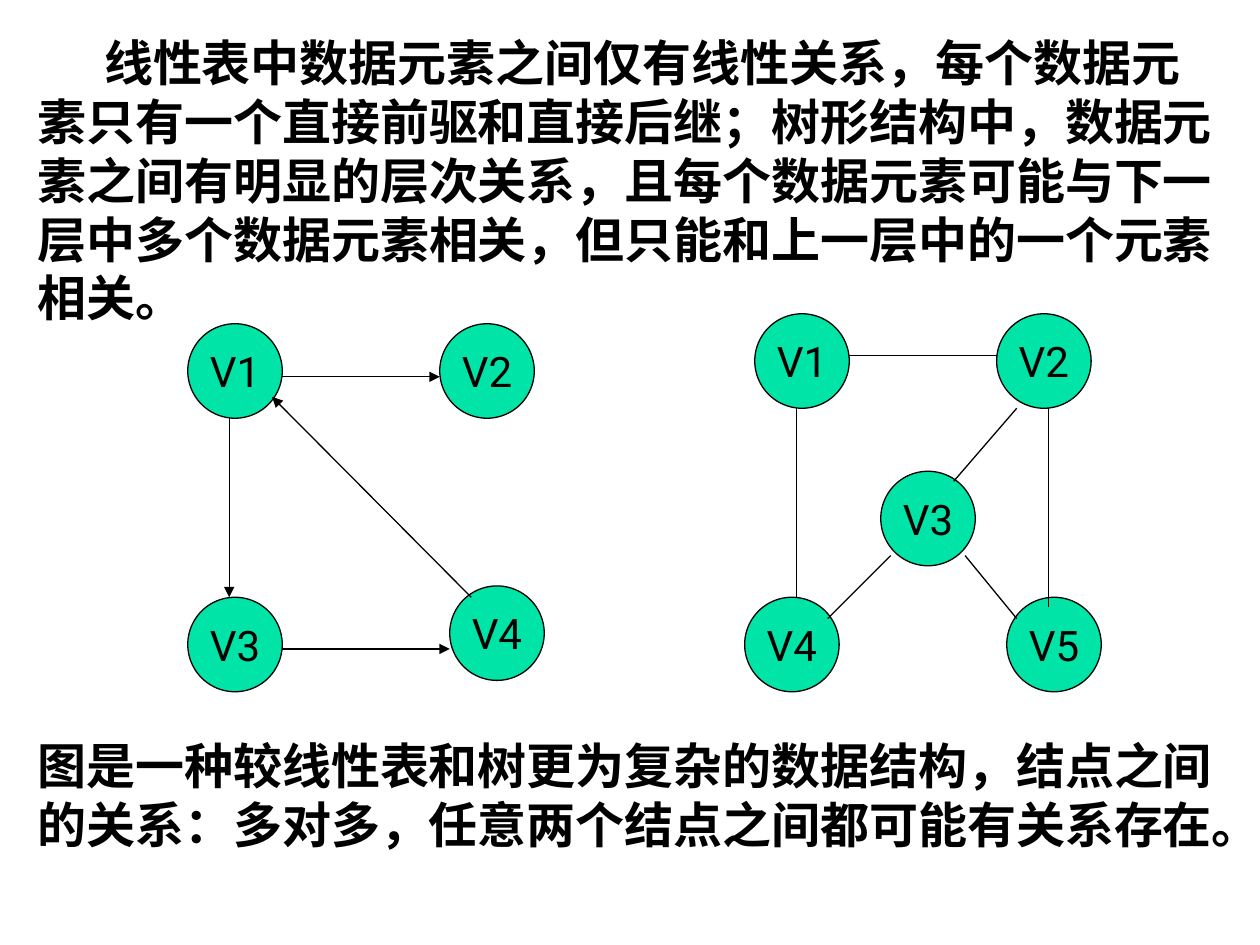
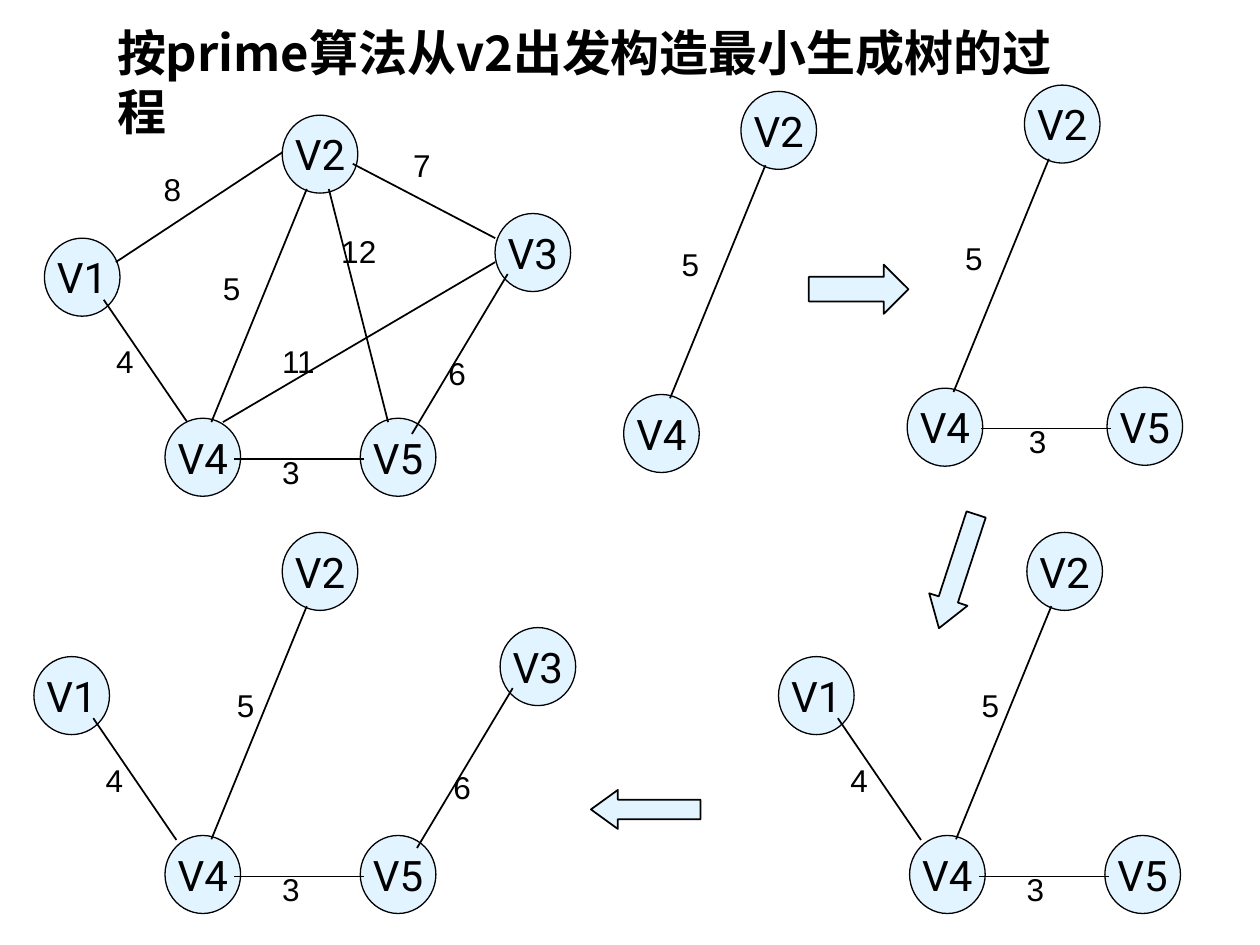
from dataclasses import dataclass
from lxml.etree import SubElement
from pptx import Presentation
from pptx.dml.color import RGBColor as RGB
from pptx.enum.shapes import MSO_CONNECTOR as LINE, MSO_SHAPE as SHAPE
from pptx.enum.text import MSO_ANCHOR as ANCHOR, PP_ALIGN as ALIGN
from pptx.oxml.ns import qn
from pptx.util import Pt


@dataclass(frozen=True)
class Theme:
    ink: RGB = RGB(0x00, 0x00, 0x00)
    green: RGB = RGB(0x00, 0xE4, 0xA8)
    blue: RGB = RGB(0xE1, 0xF4, 0xFF)
    body_font: str = "Times New Roman"
    cjk_font: str = "Noto Sans CJK SC"
    node_font: str = "Roboto"
    weight_font: str = "Arial"
    body_size: int = 28
    node_size: int = 24
    weight_size: int = 18
    thin: float = 0.75
    thick: float = 1


T = Theme()


def add_item(s, box, text="", font=T.node_font, size=T.node_size, kind=None, fill=None, width=T.thin):
    """Add a filled shape of the given kind, or a text box when there is none."""
    box = [Pt(v) for v in box]
    if kind is None:
        sp = s.shapes.add_textbox(*box)
    else:
        sp = s.shapes.add_shape(kind, *box)
        sp.shadow.inherit = False
        sp.fill.solid()
        sp.fill.fore_color.rgb = fill
        sp.line.color.rgb = T.ink
        sp.line.width = Pt(width)
    if not text:
        return sp
    tf = sp.text_frame
    tf.word_wrap = kind is None
    p = tf.paragraphs[0]
    r = p.add_run()
    r.text = text
    f = r.font
    f.name, f.size = font, Pt(size)
    f.color.rgb = T.ink
    if kind is not None:
        tf.vertical_anchor = ANCHOR.MIDDLE
        p.alignment = ALIGN.CENTER
    if size == T.body_size:
        f.bold = True
        SubElement(f._element, qn("a:ea")).set("typeface", T.cjk_font)
    return sp


def add_line(s, ends, width, arrow=False):
    c = s.shapes.add_connector(LINE.STRAIGHT, *[Pt(v) for v in ends])
    c.line.color.rgb = T.ink
    c.line.width = Pt(width)
    if arrow:
        SubElement(c.line._ln, qn("a:tailEnd")).set("type", "triangle")
    SubElement(c._element.spPr, qn("a:effectLst"))


prs = Presentation()
prs.slide_width, prs.slide_height = Pt(720), Pt(540)
blank = prs.slide_layouts[6]

# Slide 1: what a graph is
s = prs.slides.add_slide(blank)
intro = add_item(
    s, (14.4, 15.1, 694.8, 175.7),
    "线性表中数据元素之间仅有线性关系，每个数据元素只有一个直接前驱和直接后继；"
    "树形结构中，数据元素之间有明显的层次关系，且每个数据元素可能与下一层中多个数据元素相关，"
    "但只能和上一层中的一个元素相关。",
    T.body_font, T.body_size)
intro.text_frame.paragraphs[0]._p.get_or_add_pPr().set("indent", str(Pt(38)))

# Directed graph, then undirected graph: nodes, edges, arrows or not
graphs = [
    ({"V1": (107.3, 185), "V4": (257, 334.8), "V2": (251.3, 185), "V3": (107.3, 341.3)},
     [(161.3, 215.3, 251.3, 215.3), (131, 239, 131, 341.3),
      (161.3, 370.8, 257, 370.8), (269.3, 341.3, 155.5, 226.8)], True),
    ({"V5": (575.3, 341.3), "V4": (425.5, 341.3), "V3": (503.3, 269.3),
      "V2": (569.5, 179.3), "V1": (431.3, 179.3)},
     [(485.3, 203, 569.5, 203), (455, 233.3, 455, 341.3), (599, 233.3, 599, 347),
      (581, 233.3, 545, 275), (473, 353.5, 509, 317.5), (551.5, 317.5, 581, 353.5)], False),
]
for nodes, edges, directed in graphs:
    for name, (x, y) in nodes.items():
        add_item(s, (x, y, 54, 54), name, kind=SHAPE.OVAL, fill=T.green)
    for ends in edges:
        add_line(s, ends, T.thin, directed)

add_item(s, (14.4, 416.9, 686.2, 108),
         "图是一种较线性表和树更为复杂的数据结构，结点之间的关系：多对多，任意两个结点之间都可能有关系存在。",
         T.body_font, T.body_size)

# Slide 2: growing the minimum spanning tree from V2
s = prs.slides.add_slide(blank)
add_item(s, (59.8, 9.4, 563, 41), "按prime算法从v2出发构造最小生成树的过程", T.cjk_font, T.body_size)

# Branches measured from V4: node, edge, weight, place of the weight
branches = {
    "V2": ((67, -173.2), (81, -131, 26.5, 2.2), "5", (26, -89)),
    "V5": ((111.6, 0), (39.6, 23.5, 113.8, 23.5), "3", (59.8, 16.4)),
    "V1": ((-74.9, -102.2), (-41, -67, 6.5, 2.6), "4", (-41, -46.2)),
    "V3": ((191.5, -118.8), (198.7, -84.2, 144, 7.2), "6", (157.7, -41.8)),
}
# Trees: place of V4, extra shift of the weight 5, shift of each branch
trees = [
    ((94.3, 239), 0, {"V2": (0, 0), "V5": (0, 0), "V1": (6, -0.7), "V3": (-2.9, 1.8)}),
    ((356.4, 225.4), 0, {"V2": (0, 0)}),
    ((518.4, 221.8), 0, {"V2": (0, 0), "V5": (2.6, -0.5)}),
    ((519.8, 477.4), 8, {"V2": (0, 0), "V5": (0, 0), "V1": (0, 0)}),
    ((94.3, 477.4), 8, {"V2": (0, 0), "V5": (0, 0), "V1": (0, 0), "V3": (0, 0)}),
]
for (x0, y0), shift_5, shifts in trees:
    add_item(s, (x0, y0, 43.2, 44.6), "V4", kind=SHAPE.OVAL, fill=T.blue)
    for name, (dx, dy) in shifts.items():
        (nx, ny), (x1, y1, x2, y2), weight, (wx, wy) = branches[name]
        x, y = x0 + dx, y0 + dy
        add_item(s, (x + nx, y + ny, 43.2, 44.6), name, kind=SHAPE.OVAL, fill=T.blue)
        add_line(s, (x + x1, y + y1, x + x2, y + y2), T.thick)
        if name == "V2":
            wx += shift_5
        add_item(s, (x + wx, y + wy, 40, 28.8), weight, T.weight_font, T.weight_size)

# Edges of the full graph that the tree leaves out
for ends, weight, (x, y) in [
    ((161.3, 87.1, 66.2, 149.8), "8", (86.4, 93.6)),
    ((201.6, 93.6, 283, 136.1), "7", (229, 79.9)),
    ((187.9, 108, 221.8, 241.2), "12", (187.9, 128.9)),
    ((127.4, 241.2, 283, 149.8), "11", (154.1, 192.2)),
]:
    add_line(s, ends, T.thick)
    add_item(s, (x, y, 40, 28.8), weight, T.weight_font, T.weight_size)

# Block arrows between the steps
for kind, box, head, turn in [
    (SHAPE.RIGHT_ARROW, (462.2, 151.2, 56.9, 28.1), 0.5, 0),
    (SHAPE.DOWN_ARROW, (535.7, 292.3, 23, 68.4), 0.75, 18.1),
    (SHAPE.LEFT_ARROW, (337.7, 451.4, 62.6, 22.3), 0.69, 0),
]:
    sp = add_item(s, box, kind=kind, fill=T.blue, width=T.thick)
    sp.adjustments[1] = head
    sp.rotation = turn

prs.save("out.pptx")
